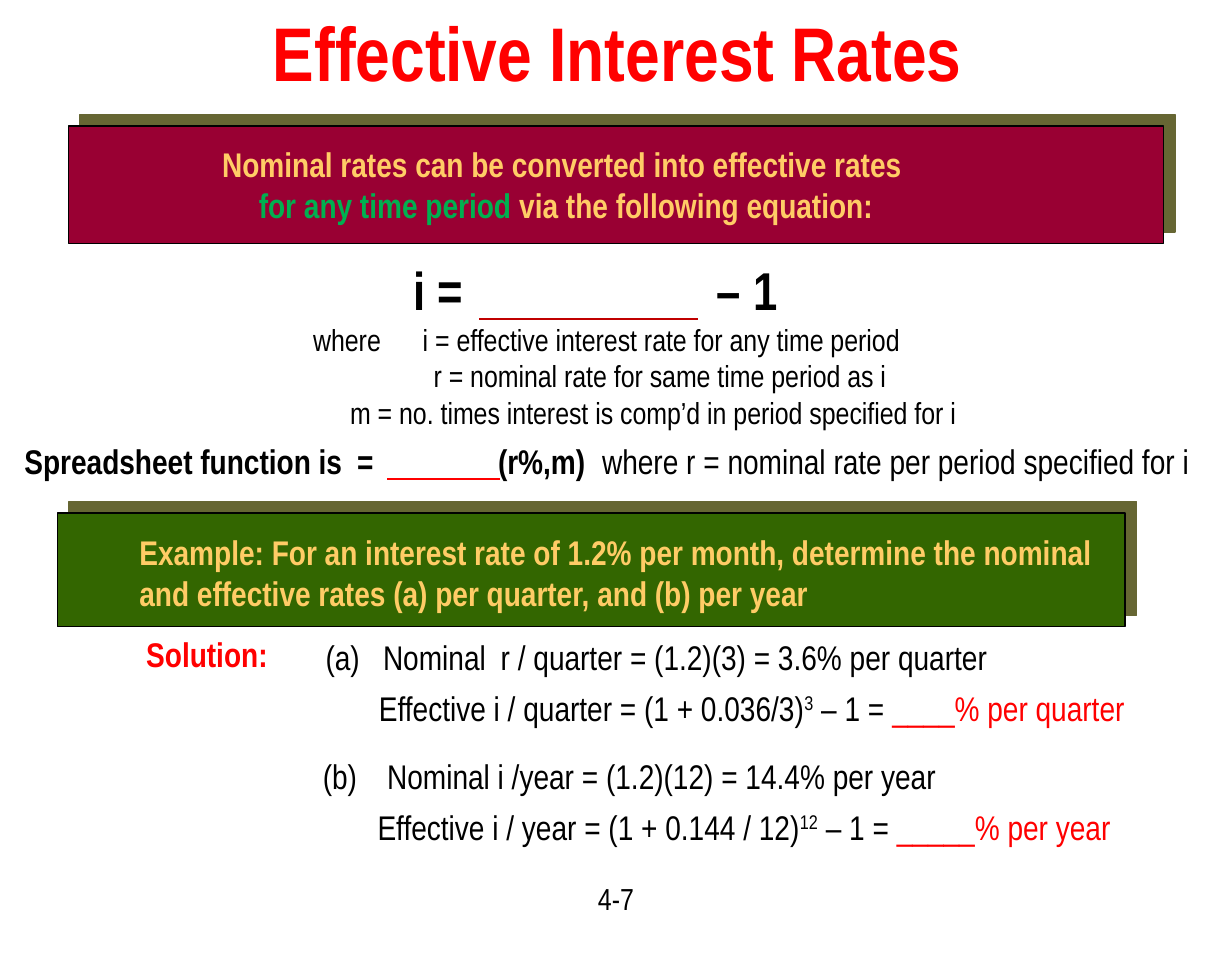
from lxml import etree
from pptx import Presentation
from pptx.dml.color import RGBColor
from pptx.enum.shapes import MSO_CONNECTOR as CONNECTOR, MSO_SHAPE as SHAPE
from pptx.enum.text import MSO_ANCHOR as ANCHOR, PP_ALIGN as ALIGN
from pptx.oxml.ns import qn
from pptx.util import Inches, Pt

FONT = "Arial Narrow"
BLACK, RED, DARK_RED = "000000", "FF0000", "C00000"
GOLD, GREEN, OLIVE = "FFCC66", "00B050", "666633"

# Banners: (left, top, width, height), fill
BANNERS = [
    ((0.5, 0.92, 8, 0.86), "990033"),
    ((0.42, 3.75, 7.8, 0.83), "336600"),
]

# Text: box, paragraphs, format. A paragraph is a list of (text, run format);
# tab stops in "tabs" are given per paragraph.
TEXTS = [
    ((0.26, 0, 8.5, 0.75), [[("Effective Interest Rates", {})]],
     dict(size=40, color=RED, bold=True, align=ALIGN.CENTER, anchor=ANCHOR.MIDDLE)),
    ((1, 1, 6.27, 0.7),
     [[("Nominal rates can be converted into effective rates ", {})],
      [("for any time period ", dict(color=GREEN)), ("via the following equation:", {})]],
     dict(color=GOLD, bold=True, align=ALIGN.CENTER)),
    ((1.61, 1.83, 5.8, 1.37),
     [[("\ti =\t– 1", dict(size=28, bold=True))],
      [("\twhere\ti = effective interest rate for any time period", {})],
      [("\tr = nominal rate for same time period as i", {})],
      [("\tm = no. times interest is comp’d in period specified for i", {})]],
     dict(size=16, tabs=[(1.31, 3.53), (0.58, 1.38), (1.46,), (0.85,)])),
    ((0.08, 3.17, 8.85, 0.4),
     [[("Spreadsheet function is\t=\t(r%,m)\t", dict(bold=True)),
       ("where r = nominal rate per period specified for i", {})]],
     dict(tabs=[(2.43, 3.46, 4.22)])),
    ((0.92, 3.83, 7.24, 0.7),
     [[("Example: For an interest rate of 1.2% per month, determine the nominal", {})],
      [("and effective rates (a) per quarter, and (b) per year", {})]],
     dict(color=GOLD, bold=True)),
    ((0.97, 4.58, 1.2, 0.4), [[("Solution:", {})]], dict(color=RED, bold=True)),
    ((2.28, 4.6, 5.3, 0.4),
     [[("(a)\tNominal\tr / quarter = (1.2)(3) = 3.6% per quarter", {})]],
     dict(tabs=[(0.42, 1.28)])),
    ((2.67, 4.97, 5.8, 0.4),
     [[("Effective i / quarter = (1 + 0.036/3)", {}), ("3", dict(raised=True)),
       (" – 1 = ", {}), ("____% per quarter", dict(color=RED))]], {}),
    ((2.26, 5.47, 5, 0.4),
     [[("(b)\tNominal i /year = (1.2)(12) = 14.4% per year", {})]],
     dict(tabs=[(0.47,)])),
    ((2.66, 5.84, 5.7, 0.4),
     [[("Effective i / year = (1 + 0.144 / 12)", {}), ("12", dict(raised=True)),
       (" – 1 = ", {}), ("_____% per year", dict(color=RED))]], {}),
    ((3.9, 6.38, 1.2, 0.47), [[("4-7", {})]], dict(size=16, align=ALIGN.CENTER)),
]

# Answer blanks: left, right, height on the slide, colour
BLANKS = [(3.5, 5.1, 2.33, DARK_RED), (2.83, 3.65, 3.5, RED)]


def rgb(color):
    return RGBColor.from_string(color)


def add_tabs(paragraph, stops):
    tab_list = etree.SubElement(paragraph._p.get_or_add_pPr(), qn("a:tabLst"))
    for stop in stops:
        etree.SubElement(tab_list, qn("a:tab"), pos=str(Inches(stop)), algn="l")


def add_text(slide, box, paragraphs, *, size=18, color=BLACK, bold=False,
             align=ALIGN.LEFT, anchor=ANCHOR.TOP, tabs=()):
    frame = slide.shapes.add_textbox(*map(Inches, box)).text_frame
    frame.word_wrap = True
    frame.vertical_anchor = anchor
    for index, runs in enumerate(paragraphs):
        paragraph = frame.add_paragraph() if index else frame.paragraphs[0]
        paragraph.alignment = align
        if tabs:
            add_tabs(paragraph, tabs[index])
        for text, style in runs:
            run = paragraph.add_run()
            run.text = text
            run.font.name = FONT
            run.font.size = Pt(style.get("size", size))
            run.font.bold = style.get("bold", bold)
            run.font.color.rgb = rgb(style.get("color", color))
            if style.get("raised"):
                run.font._element.set("baseline", "30000")


def add_banner(slide, box, fill):
    shape = slide.shapes.add_shape(SHAPE.RECTANGLE, *map(Inches, box))
    shape.fill.solid()
    shape.fill.fore_color.rgb = rgb(fill)
    shape.line.color.rgb = rgb(BLACK)
    shape.line.width = Pt(0.75)
    shape.shadow.inherit = False
    effects = shape._element.spPr.find(qn("a:effectLst"))
    shadow = etree.SubElement(effects, qn("a:outerShdw"), dist=str(Pt(8.5)),
                              dir=str(315 * 60000), algn="ctr", rotWithShape="0")
    etree.SubElement(shadow, qn("a:srgbClr"), val=OLIVE)


def add_blank(slide, left, right, top, color):
    line = slide.shapes.add_connector(
        CONNECTOR.STRAIGHT, *map(Inches, (left, top, right, top)))
    line.line.color.rgb = rgb(color)
    line.line.width = Pt(0.75)
    etree.SubElement(line._element.spPr, qn("a:effectLst"))


def main():
    presentation = Presentation()
    presentation.slide_width, presentation.slide_height = Inches(9), Inches(7)
    slide = presentation.slides.add_slide(presentation.slide_layouts[6])
    for box, fill in BANNERS:
        add_banner(slide, box, fill)
    for box, paragraphs, style in TEXTS:
        add_text(slide, box, paragraphs, **style)
    for blank in BLANKS:
        add_blank(slide, *blank)
    presentation.save("out.pptx")


if __name__ == "__main__":
    main()
